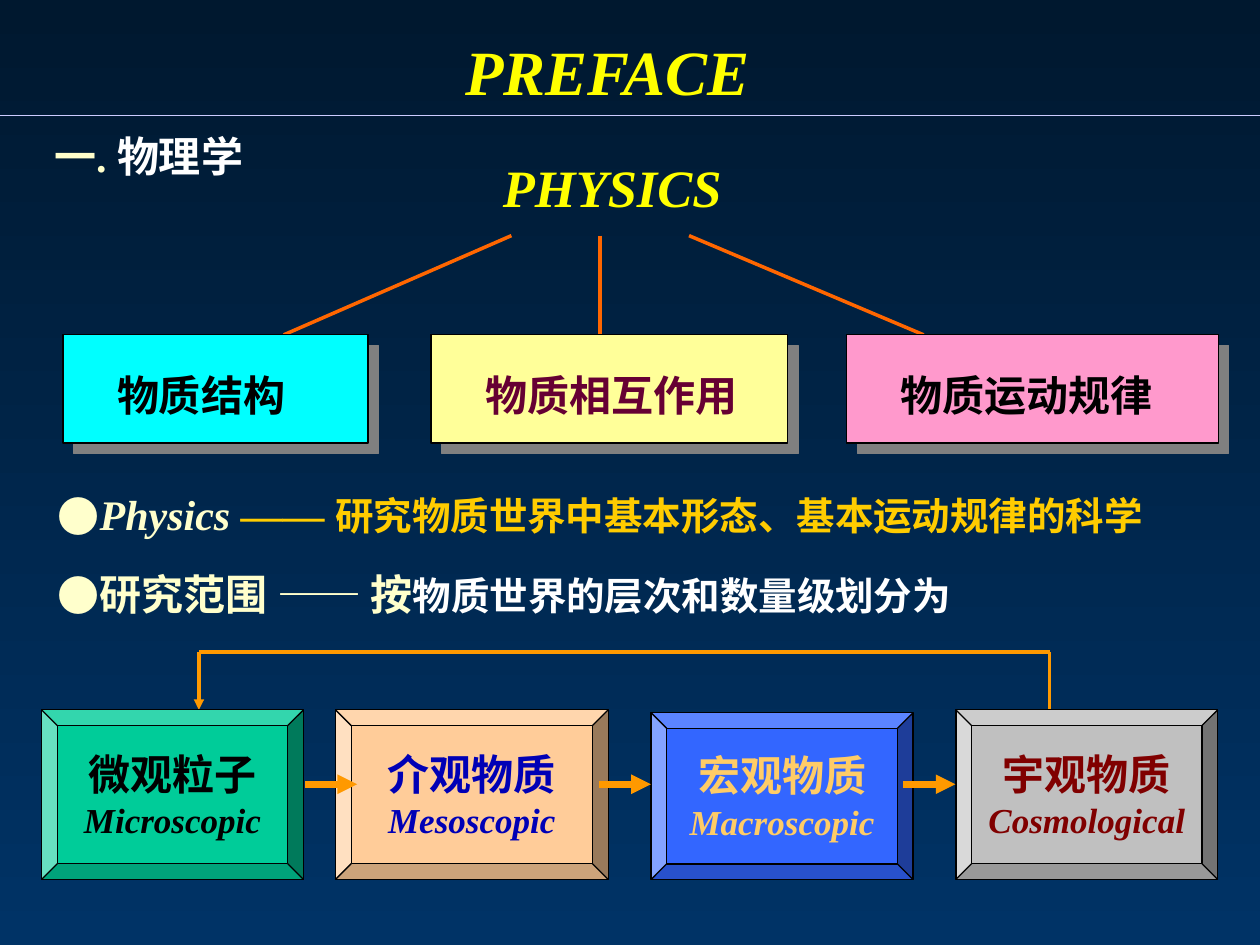
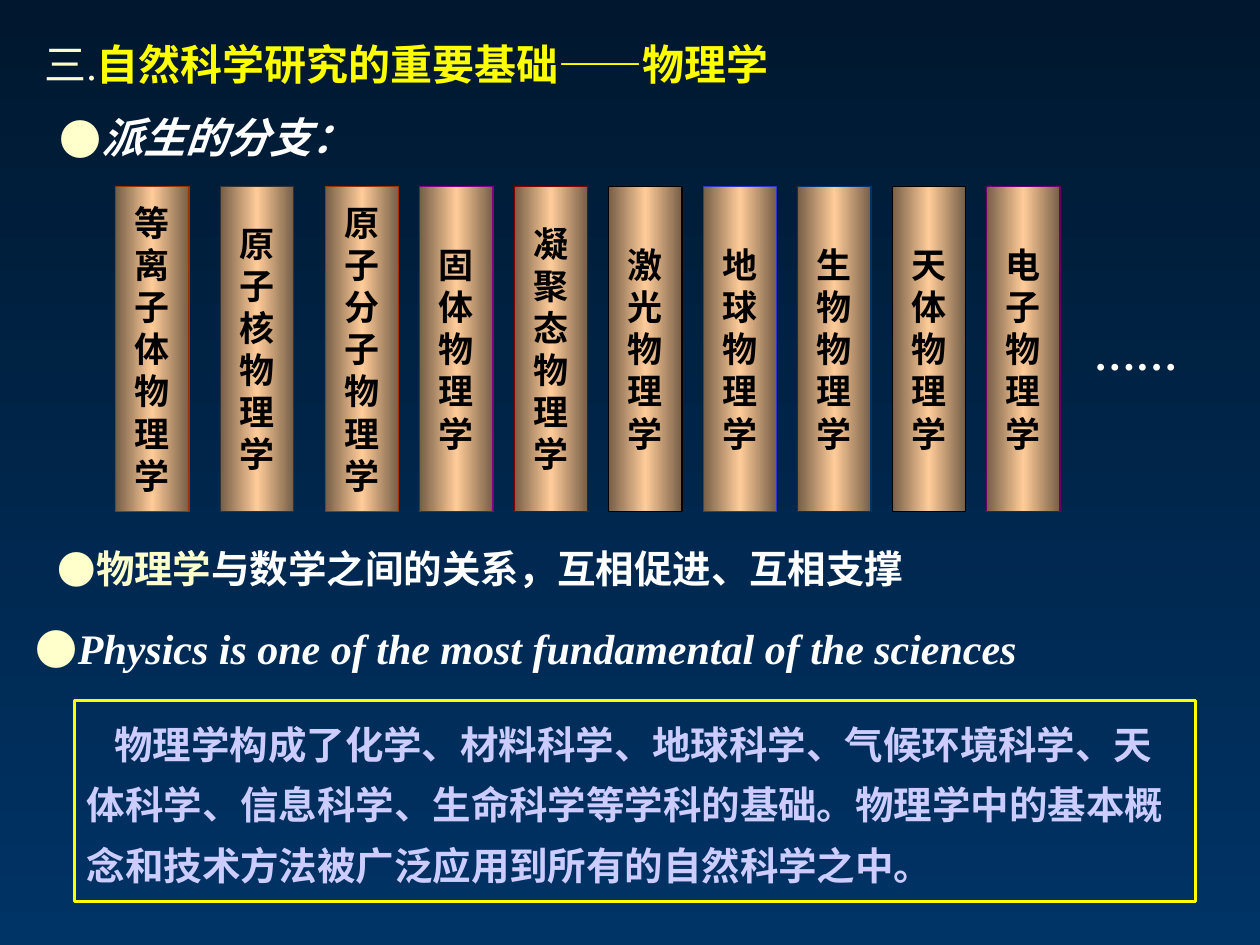
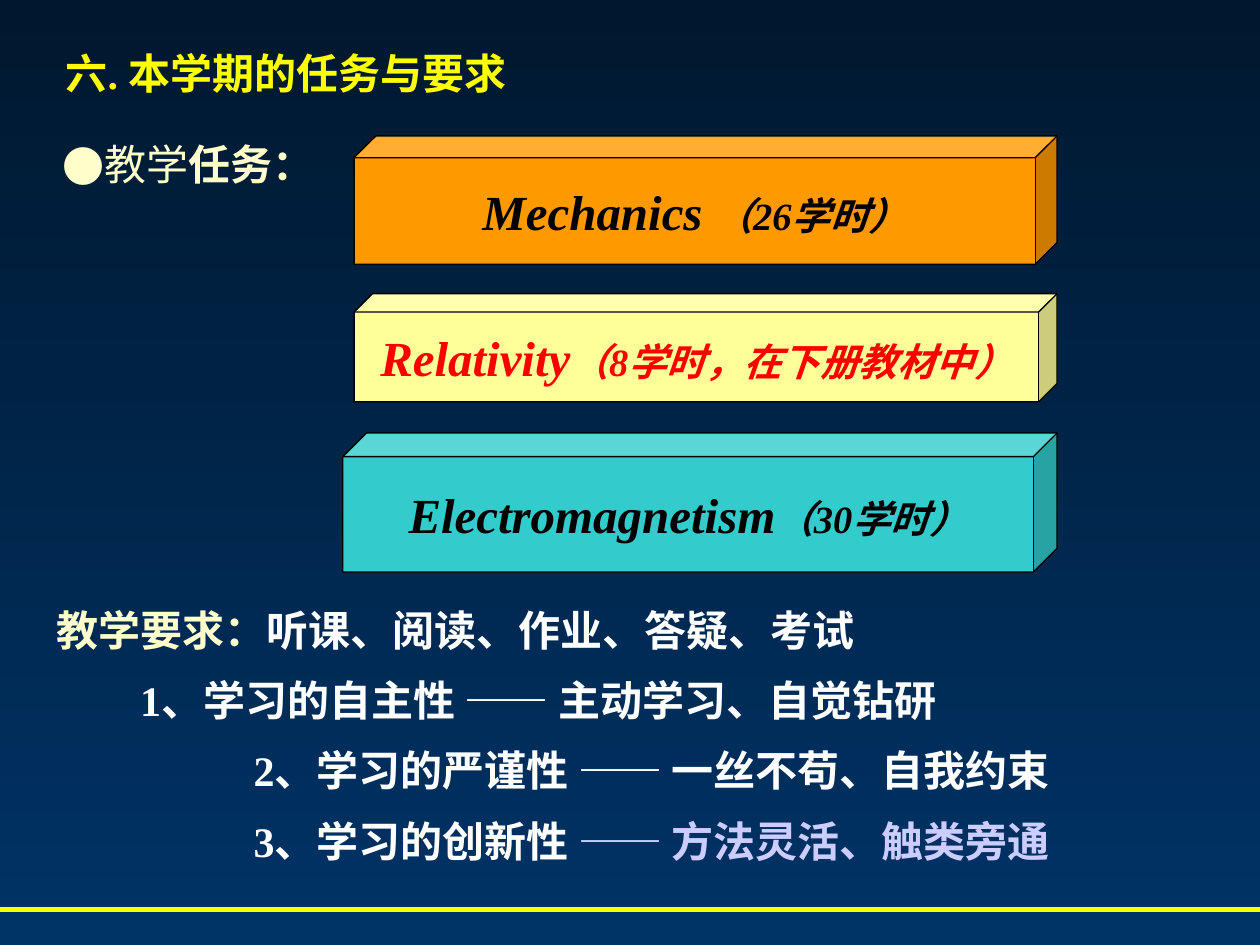
from copy import deepcopy
from itertools import pairwise
from lxml.etree import SubElement
from pptx import Presentation
from pptx.dml.color import RGBColor
from pptx.enum.shapes import MSO_CONNECTOR, MSO_SHAPE
from pptx.enum.text import MSO_ANCHOR, MSO_AUTO_SIZE, PP_ALIGN
from pptx.oxml.ns import qn
from pptx.util import Cm, Pt

INK = {
    "night": "00182F", "navy": "003366", "cream": "FFFFCC", "white": "FFFFFF",
    "yellow": "FFFF00", "gold": "FFCC00", "lilac": "CCCCFF", "black": "000000",
    "rust": "FF6600", "orange": "FF9900", "cyan": "00FFFF", "lemon": "FFFF99",
    "pink": "FF99CC", "wine": "660033", "grey": "808080", "green": "00CC99",
    "peach": "FFCC99", "blue": "3366FF", "silver": "C0C0C0", "deep": "0000B6",
    "amber": "FFCC66", "maroon": "800000", "brown": "765E47", "brick": "993300",
    "coal": "333333", "purple": "800080", "royal": "3333CC", "plum": "660066",
    "teal": "33CCCC", "red": "FF0000",
}
LATIN, HAN = "Times New Roman", "Noto Sans CJK SC"
HANG = 0.75
WIDE = 25.4


def tint(name):
    """Return the named colour."""
    return RGBColor.from_string(INK[name])


def shade(fill, names, angle):
    """Spread the named colours evenly over a gradient fill."""
    for at, (stop, name) in enumerate(zip(fill.gradient_stops, names)):
        stop.position = at / (len(names) - 1)
        stop.color.rgb = tint(name)
    fill.gradient_angle = angle


def write(par, runs, align=PP_ALIGN.LEFT, lead=1.2, left=0, first=0, dot=False, gap=0):
    """Fill a paragraph with runs of text, size, colour and style letters."""
    props = par._p.get_or_add_pPr()
    props.set("marL", str(Cm(left)))
    props.set("indent", str(Cm(-HANG if dot else first)))
    par.alignment = align
    par.line_spacing = Pt(round(lead * max(run[1] for run in runs), 1))
    par.space_before = Pt(gap)
    if dot:
        SubElement(SubElement(props, qn("a:buClr")), qn("a:srgbClr"), val=INK["cream"])
        SubElement(props, qn("a:buSzPts"), val="1600")
        SubElement(props, qn("a:buFont"), typeface=HAN)
        SubElement(props, qn("a:buChar"), char="●")
    else:
        SubElement(props, qn("a:buNone"))
    for text, size, ink, style in runs:
        run = par.add_run()
        run.text = text
        font = run.font
        font.size, font.name = Pt(size), LATIN
        font.bold, font.italic = "b" in style, "i" in style
        font.color.rgb = tint(ink)
        font._element.find(qn("a:latin")).addnext(
            font._element.makeelement(qn("a:ea"), typeface=HAN))


def fill(frame, rows, wrap=True, anchor=MSO_ANCHOR.TOP):
    """Write rows of (runs, options) into a text frame."""
    frame.word_wrap, frame.vertical_anchor = wrap, anchor
    frame.auto_size = MSO_AUTO_SIZE.NONE
    for at, (runs, opts) in enumerate(rows):
        write(frame.add_paragraph() if at else frame.paragraphs[0], runs, **opts)


def label(slide, box, runs, **opts):
    """Add a text box with one paragraph."""
    fill(slide.shapes.add_textbox(*map(Cm, box)).text_frame, [(runs, opts)])


def hold(shape, box, rows):
    """Move a placeholder to the box and write its rows."""
    shape.left, shape.top, shape.width, shape.height = map(Cm, box)
    fill(shape.text_frame, rows)


def block(slide, kind, box, paint, edge="black", width=0.75):
    """Add a flat preset shape; no paint leaves it hollow."""
    shape = slide.shapes.add_shape(kind, *map(Cm, box))
    shape.shadow.inherit = False
    if paint:
        shape.fill.solid()
        shape.fill.fore_color.rgb = tint(paint)
    else:
        shape.fill.background()
    shape.line.color.rgb = tint(edge)
    shape.line.width = Pt(width)
    return shape


def wire(slide, start, end, ink, width, arrow=False):
    """Draw a straight line, with an arrowhead at its end if asked."""
    line = slide.shapes.add_connector(MSO_CONNECTOR.STRAIGHT, *map(Cm, (*start, *end)))
    line.line.color.rgb = tint(ink)
    line.line.width = Pt(width)
    props = line._element.spPr
    if arrow:
        SubElement(props.find(qn("a:ln")), qn("a:tailEnd"), type="triangle")
    SubElement(props, qn("a:effectLst"))


def cards(slide, box):
    """Place the three shadowed topics and the rays above them."""
    x, y, w, h = box
    for start, end in ((9.04, 4.45), (10.82, 10.82), (12.62, 17.35)):
        wire(slide, (x + start, y - 2), (x + end, y), "rust", 2)
    for left, wide, paint, ink, text in (
        (0, 6.15, "cyan", "black", "物质结构"),
        (7.42, 7.19, "lemon", "wine", "物质相互作用"),
        (15.8, w - 15.8, "pink", "black", "物质运动规律"),
    ):
        card = block(slide, MSO_SHAPE.RECTANGLE, (x + left, y, wide, h), paint)
        cast = SubElement(card._element.spPr.find(qn("a:effectLst")), qn("a:outerShdw"),
                          dist=str(Pt(8.5)), dir="2700000", algn="ctr", rotWithShape="0")
        SubElement(cast, qn("a:srgbClr"), val=INK["grey"])
        frame = card.text_frame
        frame.margin_left, frame.margin_top, frame.margin_bottom = Cm(1.09), Cm(0.22), 0
        fill(frame, [([(text, 24, ink, "b")], {})], False, MSO_ANCHOR.MIDDLE)


def scales(slide, box):
    """Place the four bevelled scales, their arrows and the loop back."""
    x, y, w, h = box
    mid = {"align": PP_ALIGN.CENTER}
    loop = [(x + 20.32, y), (x + 20.32, y - 1.17), (x + 3.17, y - 1.17), (x + 3.17, y)]
    for at, (start, end) in enumerate(pairwise(loop)):
        wire(slide, start, end, "orange", 2, at == 2)
    wide = 5.28
    step = (w - wide) / 3
    for at, (han, word, paint, ink, grow, dip) in enumerate((
        ("微观粒子", "Microscopic", "green", "black", 0, 0),
        ("介观物质", "Mesoscopic", "peach", "deep", 0.22, 0),
        ("宏观物质", "Macroscopic", "blue", "amber", 0, 0.06),
        ("宇观物质", "Cosmological", "silver", "maroon", 0, 0),
    )):
        spot = (x + at * step - grow, y + dip, wide + grow, h - dip)
        tile = block(slide, MSO_SHAPE.BEVEL, spot, paint)
        tile.adjustments[0] = 0.093
        fill(tile.text_frame, [([(han, 24, ink, "b")], mid), ([(word, 20, ink, "bi")], mid)],
             False, MSO_ANCHOR.MIDDLE)
    for left in (5.31, 11.23, 17.37):
        wire(slide, (x + left, y + 1.5), (x + left + 1.05, y + 1.5), "orange", 3.75, True)


def bars(slide, box):
    """Place the upright bars that name the branches."""
    x, y, w, h = box
    names = ("等离子体", "原子核", "原子分子", "固体", "凝聚态",
             "激光", "地球", "生物", "天体", "电子")
    edges = ("brick", "coal", "brick", "purple", "maroon",
             "black", "royal", "navy", "black", "plum")
    wide, slack = 1.48, 0.21
    step = (w - wide - 2 * slack) / (len(names) - 1)
    for at, (name, edge) in enumerate(zip(names, edges)):
        spot = (x + at * step + min(at, 2) * slack, y, wide, h)
        bar = block(slide, MSO_SHAPE.RECTANGLE, spot, "peach", edge)
        bar.fill.gradient()
        stops = bar._element.spPr.find(".//" + qn("a:gsLst"))
        stops.append(deepcopy(stops[0]))
        shade(bar.fill, ("brown", "peach", "brown"), 0)
        rows = [([(sign, 20, "black", "b")], {"align": PP_ALIGN.CENTER})
                for sign in name + "物理学"]
        fill(bar.text_frame, rows, False, MSO_ANCHOR.MIDDLE)
    label(slide, (x + w + 0.43, y + 2.74, 4.01, 1.27), [("……", 24, "white", "b")])


def cubes(slide, box):
    """Stack the three course parts."""
    x, y, w, h = box
    for left, top, high, paint, ink, word, note in (
        (0.23, 0, 2.59, "orange", "black", "Mechanics ", "（26学时）"),
        (0.23, 3.18, 2.18, "lemon", "red", "Relativity", "（8学时，在下册教材中）"),
        (0, 5.99, h - 5.99, "teal", "black", "Electromagnetism", "（30学时）"),
    ):
        cube = block(slide, MSO_SHAPE.CUBE, (x + left, y + top, w - left, high), paint)
        cube.adjustments[0] = 0.17
        runs = [(word, 28, ink, "bi"), (note, 22, ink, "bi")]
        fill(cube.text_frame, [(runs, {"align": PP_ALIGN.CENTER})], False, MSO_ANCHOR.MIDDLE)


def preface(slide):
    """Build the preface slide."""
    title, body = slide.placeholders
    mid = {"align": PP_ALIGN.CENTER}
    hold(title, (6.91, 0.53, 10.67, 1.78), [([("PREFACE", 36, "yellow", "bi")], mid)])
    wire(slide, (0, 2.33), (WIDE, 2.33), "lilac", 0.75)
    label(slide, (0.84, 2.51, 9.73, 1.27),
          [("一. ", 24, "cream", "b"), ("物理学", 24, "white", "b")])
    label(slide, (7.8, 3, 9.09, 1.52), [("PHYSICS", 30, "yellow", "bi")], **mid)
    cards(slide, (1.27, 6.75, 23.29, 2.18))
    dot = {"dot": True, "left": 0.82}
    hold(body, (0.84, 9.73, 23.95, 2.87), [
        ([("Physics ", 24, "cream", "bi"), ("—— ", 24, "gold", "bi"),
          ("研究物质世界中基本形态、基本运动规律的科学", 22, "gold", "b")], dot),
        ([("研究范围 —— 按", 24, "cream", "b"),
          ("物质世界的层次和数量级划分为", 22, "white", "b")], {**dot, "gap": 16.6}),
    ])
    scales(slide, (0.84, 14.31, 23.71, 3.42))


def basis(slide):
    """Build the slide on physics as a basis of science."""
    title, body = slide.placeholders
    hold(title, (0.64, 0.64, 21.59, 1.27), [([
        ("三.", 24, "cream", ""), ("自然科学研究的重要基础——物理学", 24, "yellow", "b")], {})])
    label(slide, (0.56, 2.13, 13.34, 1.27), [("派生的分支：", 24, "white", "bi")],
          dot=True, left=1.14)
    bars(slide, (2.33, 3.76, 19.04, 6.55))
    hold(body, (0.1, 10.85, 25.2, 2.87), [
        ([("物理学", 22, "cream", "b"),
          ("与数学之间的关系，互相促进、互相支撑", 22, "white", "b")],
         {"dot": True, "left": 1.56}),
        ([("Physics is one of the most fundamental of the sciences", 24, "white", "bi")],
         {"dot": True, "left": 1.12, "gap": 18}),
    ])
    frame = block(slide, MSO_SHAPE.RECTANGLE, (1.5, 14.12, 22.61, 4.06), None, "yellow", 1.75)
    fill(frame.text_frame, [([(
        "物理学构成了化学、材料科学、地球科学、气候环境科学、天体科学、信息科学、"
        "生命科学等学科的基础。物理学中的基本概念和技术方法被广泛应用到所有的自然科学之中。",
        22, "lilac", "b")], {"lead": 1.57, "first": 0.56})])


def tasks(slide):
    """Build the slide of tasks and demands."""
    title, body = slide.placeholders
    hold(title, (1.07, 0.84, 18.85, 1.27),
         [([("六. 本学期的任务与要求", 24, "yellow", "b")], {})])
    label(slide, (0.84, 2.67, 8.08, 1.45),
          [("教学", 24, "cream", ""), ("任务：", 24, "cream", "b")], dot=True, left=0.92)
    cubes(slide, (6.91, 2.74, 14.4, 8.79))
    demands = (
        (0.25, ("教学要求：", "cream"), ("听课、阅读、作业、答疑、考试", "white")),
        (1.93, ("1、学习的自主性 —— 主动学习、自觉钻研", "white")),
        (4.22, ("2、学习的严谨性 —— 一丝不苟、自我约束", "white")),
        (4.22, ("3、学习的创新性 ", "white"), ("—— 方法灵活、触类旁通", "lilac")),
    )
    hold(body, (0.64, 11.66, 24.08, 5.94), [
        ([(text, 24, ink, "b") for text, ink in parts], {"left": left, "lead": 1.67})
        for left, *parts in demands])
    wire(slide, (0, 18.34), (WIDE, 18.34), "yellow", 3)


def main():
    """Build and save the slides."""
    deck = Presentation()
    deck.slide_width, deck.slide_height = Cm(WIDE), Cm(19.05)
    back = deck.slide_master.background.fill
    back.gradient()
    shade(back, ("night", "navy"), 270)
    for build in (preface, basis, tasks):
        build(deck.slides.add_slide(deck.slide_layouts[1]))
    deck.save("out.pptx")


if __name__ == "__main__":
    main()
